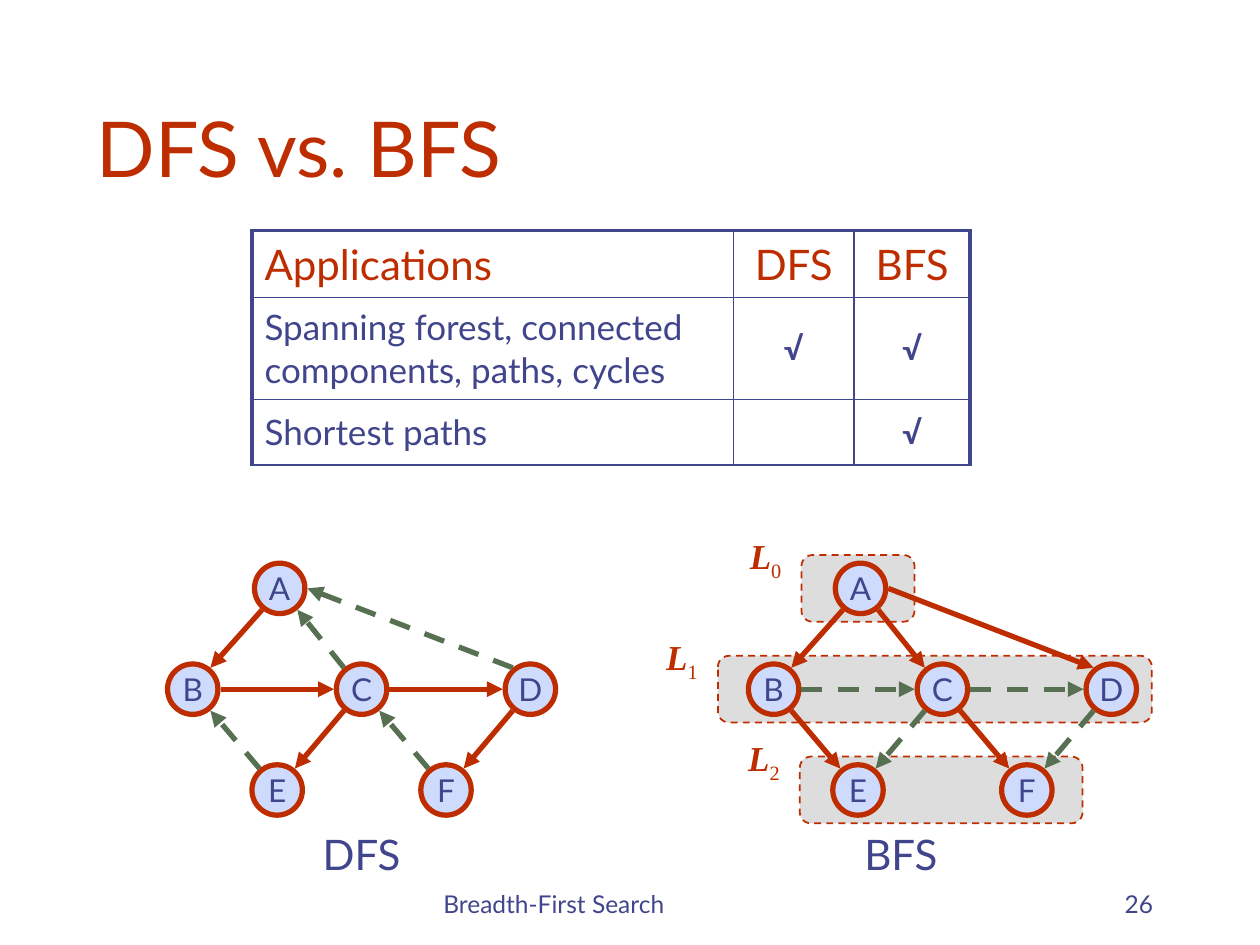
from dataclasses import dataclass

from lxml.etree import SubElement
from pptx import Presentation
from pptx.dml.color import RGBColor
from pptx.enum.dml import MSO_LINE
from pptx.enum.shapes import MSO_CONNECTOR, MSO_SHAPE
from pptx.enum.text import MSO_ANCHOR, MSO_AUTO_SIZE, PP_ALIGN
from pptx.oxml.ns import qn
from pptx.util import Inches, Pt


@dataclass(frozen=True)
class Theme:
    ink: RGBColor = RGBColor.from_string("40458C")
    accent: RGBColor = RGBColor.from_string("BE2D00")
    cross: RGBColor = RGBColor.from_string("577052")
    node: RGBColor = RGBColor.from_string("CFDBFD")
    band: RGBColor = RGBColor.from_string("DDDDDD")
    font: str = "Lato"
    math_font: str = "Times New Roman"
    title: int = 44
    heading: int = 24
    body: int = 20
    mark: int = 18
    footer: int = 14
    thin: float = 1
    frame: float = 2.25
    thick: float = 3


THEME = Theme()
WIDTH, HEIGHT = 10, 7.5

# Graph grid: node B is the origin of each graph.
COLUMN, ROW, DIAMETER = 0.67, 0.8, 0.4
BASELINE = 5.47
BAND_HEIGHT = 0.53
NODES = {"C": (2, 0), "B": (0, 0), "A": (1.03, -1), "E": (1, 1), "D": (4, 0), "F": (3, 1)}
GRAPHS = [
    # caption, origin, caption centre, discovery edges, other edges
    ("DFS", 1.53, 2.87, "AB BC CD CE DF", "EB CA DA FC"),
    ("BFS", 6.14, 7.15, "AB AC AD BE CF", "BC CD CE DF"),
]
LEVELS = [(0.33, 1.67), (-0.66, 4.48), (0.31, 3.66)]  # first and last column

TABLE_COLUMNS = [3.82, 0.96, 0.92]
TABLE_ROWS = [0.53, 0.81, 0.52]
APPLICATIONS = [
    ("Applications", "DFS", "BFS"),
    ("Spanning forest, connected components, paths, cycles", "√", "√"),
    ("Shortest paths", "", "√"),
]


def apply_format(target, **values):
    for name, value in values.items():
        setattr(target, name, value)


def write(paragraph, text, size, color=THEME.ink, align=PP_ALIGN.LEFT, **values):
    paragraph.alignment = align
    run = paragraph.add_run()
    run.text = text
    run.font.color.rgb = color
    apply_format(run.font, **{"name": THEME.font, "size": Pt(size), **values})
    return run


def add_text_box(slide, left, top, width, height, anchor=MSO_ANCHOR.TOP, fit=False):
    """Add an empty box, placed in inches, and return its first paragraph."""
    box = slide.shapes.add_textbox(*map(Inches, (left, top, width, height)))
    auto_size = MSO_AUTO_SIZE.SHAPE_TO_FIT_TEXT if fit else MSO_AUTO_SIZE.NONE
    apply_format(box.text_frame, word_wrap=True, vertical_anchor=anchor, auto_size=auto_size)
    return box.text_frame.paragraphs[0]


def add_page_text(slide, text, area, size, **values):
    """Write text at the foot of an area given as shares of the slide."""
    left, top, width, height = area
    paragraph = add_text_box(slide, left * WIDTH, top * HEIGHT, width * WIDTH,
                             height * HEIGHT, MSO_ANCHOR.BOTTOM)
    write(paragraph, text, size, **values)


def add_outlined(slide, preset, area, fill, line_width):
    shape = slide.shapes.add_shape(preset, *map(Inches, area))
    shape.shadow.inherit = False
    shape.fill.solid()
    shape.fill.fore_color.rgb = fill
    shape.line.color.rgb = THEME.accent
    shape.line.width = Pt(line_width)
    return shape


def node_centre(name, origin):
    column, row = NODES[name]
    return origin + column * COLUMN, BASELINE + row * ROW


def add_node(slide, name, origin):
    x, y = node_centre(name, origin)
    area = (x - DIAMETER / 2, y - DIAMETER / 2, DIAMETER, DIAMETER)
    shape = add_outlined(slide, MSO_SHAPE.OVAL, area, THEME.node, THEME.thick)
    apply_format(shape.text_frame, word_wrap=False, vertical_anchor=MSO_ANCHOR.MIDDLE)
    write(shape.text_frame.paragraphs[0], name, THEME.mark, align=PP_ALIGN.CENTER)


def edge_point(name, other, origin):
    """Find where the edge from one node to another leaves its circle."""
    x, y = node_centre(name, origin)
    other_x, other_y = node_centre(other, origin)
    side = 1 if other_x > x else -1
    drop = other_y - y
    steep = abs(other_x - x) < 2 * COLUMN
    if drop == 0 or (drop > 0 and not steep):
        return x + side * 0.22, y
    return x + side * 0.14, y + (0.17 if drop > 0 else -0.17)


def add_edge(slide, pair, origin, discovery):
    start, end = pair
    points = (*edge_point(start, end, origin), *edge_point(end, start, origin))
    connector = slide.shapes.add_connector(MSO_CONNECTOR.STRAIGHT, *map(Inches, points))
    connector.line.color.rgb = THEME.accent if discovery else THEME.cross
    connector.line.width = Pt(THEME.thick)
    if not discovery:
        connector.line.dash_style = MSO_LINE.DASH
    properties = connector._element.spPr
    SubElement(properties.find(qn("a:ln")), qn("a:tailEnd"), type="triangle")
    SubElement(properties, qn("a:effectLst"))


def add_level(slide, index, origin):
    first, last = LEVELS[index]
    left = origin + first * COLUMN
    top = BASELINE + (index - 1) * ROW - BAND_HEIGHT / 2
    area = (left, top, (last - first) * COLUMN, BAND_HEIGHT)
    band = add_outlined(slide, MSO_SHAPE.ROUNDED_RECTANGLE, area, THEME.band, THEME.thin)
    band.line.dash_style = MSO_LINE.DASH
    label = add_text_box(slide, left - 0.54, top - 0.21, 0.51, 0.43, fit=True)
    style = dict(size=THEME.body, color=THEME.accent, align=PP_ALIGN.CENTER,
                 name=THEME.math_font)
    write(label, "L", bold=True, italic=True, **style)
    subscript = write(label, str(index), **style)
    subscript._r.get_or_add_rPr().set("baseline", "-25000")


def add_graph(slide, caption, origin, caption_centre, discovery, others):
    for name in NODES:
        add_node(slide, name, origin)
    for pairs, is_discovery in ((discovery, True), (others, False)):
        for pair in pairs.split():
            add_edge(slide, pair, origin, is_discovery)
    paragraph = add_text_box(slide, caption_centre - 0.87, 6.53, 1.74, 0.5, fit=True)
    write(paragraph, caption, THEME.heading, align=PP_ALIGN.CENTER)


def add_border(cell, side, width):
    properties = cell._tc.get_or_add_tcPr()
    line = SubElement(properties, qn(f"a:ln{side}"), w=str(Pt(width)))
    fill = SubElement(line, qn("a:solidFill"))
    SubElement(fill, qn("a:srgbClr"), val=str(THEME.ink))


def format_cell(cell, text, row, column):
    heavy = {"L": column == 0, "R": column == len(TABLE_COLUMNS) - 1, "T": row == 0, "B": False}
    for side, is_heavy in heavy.items():
        add_border(cell, side, THEME.frame if is_heavy else THEME.thin)
    cell.fill.background()
    cell.vertical_anchor = MSO_ANCHOR.MIDDLE
    if not text:
        return
    header, mark = row == 0, row > 0 and column > 0
    size = THEME.heading if header else THEME.mark if mark else THEME.body
    write(cell.text_frame.paragraphs[0], text, size,
          color=THEME.accent if header else THEME.ink,
          align=PP_ALIGN.CENTER if column else PP_ALIGN.LEFT, bold=mark)


def add_applications_table(slide):
    area = (2, 1.83, sum(TABLE_COLUMNS), sum(TABLE_ROWS))
    table = slide.shapes.add_table(len(TABLE_ROWS), len(TABLE_COLUMNS),
                                   *map(Inches, area)).table
    apply_format(table, first_row=False, horz_banding=False)
    for column, width in zip(table.columns, TABLE_COLUMNS):
        column.width = Inches(width)
    for row, height in zip(table.rows, TABLE_ROWS):
        row.height = Inches(height)
    for row, texts in enumerate(APPLICATIONS):
        for column, text in enumerate(texts):
            format_cell(table.cell(row, column), text, row, column)


def main():
    presentation = Presentation()
    apply_format(presentation, slide_width=Inches(WIDTH), slide_height=Inches(HEIGHT))
    slide = presentation.slides.add_slide(presentation.slide_layouts[6])
    add_page_text(slide, "Breadth-First Search", (0.342, 0.911, 0.317, 0.067), THEME.footer)
    add_page_text(slide, "26", (0.717, 0.911, 0.208, 0.067), THEME.footer, align=PP_ALIGN.RIGHT)
    add_page_text(slide, "DFS vs. BFS", (0.067, 0.044, 0.85, 0.167), THEME.title,
                  color=THEME.accent)
    for index in reversed(range(len(LEVELS))):
        add_level(slide, index, GRAPHS[1][1])
    for graph in reversed(GRAPHS):
        add_graph(slide, *graph)
    add_applications_table(slide)
    presentation.save("out.pptx")


if __name__ == "__main__":
    main()
